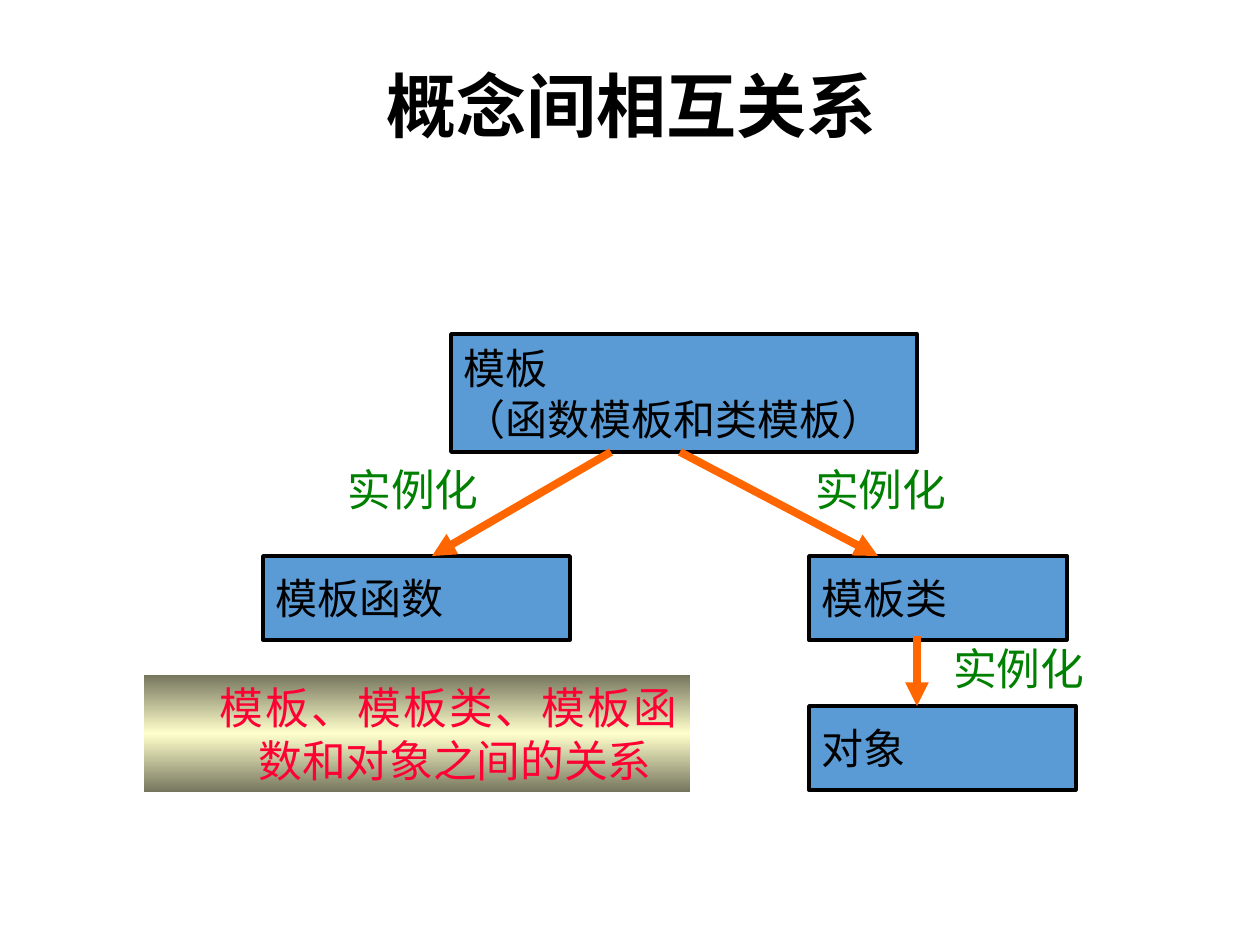
import copy

import pptx
import pptx.dml.color
import pptx.enum.shapes
import pptx.enum.text
import pptx.oxml.ns
import pptx.util
from lxml import etree

EMU_PER_PX = 914400 / 126
SANS, SERIF = "Noto Sans CJK SC", "Times New Roman"
ALIGN = pptx.enum.text.PP_ALIGN
ANCHOR = pptx.enum.text.MSO_ANCHOR
RECTANGLE = pptx.enum.shapes.MSO_SHAPE.RECTANGLE

TITLE = {"size": 40, "name": SANS, "bold": True, "color": "000000"}
CONCEPT = {"size": 24, "name": SERIF, "bold": False, "color": "000000"}
RELATION = {"size": 25, "name": SANS, "bold": False, "color": "008000"}
SUMMARY = {**RELATION, "color": "FF0033"}


def px(*lengths):
    return [pptx.util.Emu(round(length * EMU_PER_PX)) for length in lengths]


def rgb(code):
    return pptx.dml.color.RGBColor.from_string(code)


def write(shape, text, style, align, anchor=ANCHOR.TOP, hanging=False):
    frame = shape.text_frame
    frame.word_wrap = True
    frame.vertical_anchor = anchor
    frame.text = text
    for paragraph in frame.paragraphs:
        paragraph.alignment = align
        if hanging:
            margins = paragraph._p.get_or_add_pPr()
            for side, length in zip(("marL", "indent"), px(102, -39)):
                margins.set(side, str(length))
        for run in paragraph.runs:
            for key, value in style.items():
                if key == "color":
                    run.font.color.rgb = rgb(value)
                else:
                    setattr(run.font, key, pptx.util.Pt(value) if key == "size" else value)
            east_asian = etree.SubElement(run._r.get_or_add_rPr(), pptx.oxml.ns.qn("a:ea"))
            east_asian.set("typeface", SANS)


def add_title(slide, text, bounds):
    title = slide.shapes.title
    for key, value in zip(("left", "top", "width", "height"), px(*bounds)):
        setattr(title, key, value)
    write(title, text, TITLE, ALIGN.CENTER, ANCHOR.MIDDLE)


def add_concept(slide, text, bounds):
    concept = slide.shapes.add_shape(RECTANGLE, *px(*bounds))
    concept.shadow.inherit = False
    concept.fill.solid()
    concept.fill.fore_color.rgb = rgb("5B9BD5")
    concept.line.color.rgb = rgb("000000")
    concept.line.width = pptx.util.Pt(2)
    write(concept, text, CONCEPT, ALIGN.LEFT, ANCHOR.MIDDLE)


def add_relation(slide, left, top):
    relation = slide.shapes.add_textbox(*px(left, top, 228, 66))
    write(relation, "实例化", RELATION, ALIGN.JUSTIFY, hanging=True)


def add_arrow(slide, start, end):
    arrow = slide.shapes.add_connector(
        pptx.enum.shapes.MSO_CONNECTOR.STRAIGHT, *px(*start, *end))
    arrow.line.color.rgb = rgb("FF6600")
    arrow.line.width = pptx.util.Pt(4.5)
    qn = pptx.oxml.ns.qn
    etree.SubElement(arrow.line._get_or_add_ln(), qn("a:tailEnd")).set("type", "triangle")
    etree.SubElement(arrow._element.spPr, qn("a:effectLst"))


def add_summary(slide, text, bounds):
    summary = slide.shapes.add_shape(RECTANGLE, *px(*bounds))
    summary.shadow.inherit = False
    summary.line.fill.background()
    summary.fill.gradient()
    summary.fill.gradient_angle = 90
    stops = summary._element.spPr.find(".//" + pptx.oxml.ns.qn("a:gsLst"))
    stops.insert(1, copy.deepcopy(stops[0]))
    bands = ((0, "76765E"), (0.5, "FFFFCC"), (1, "76765E"))
    for stop, (position, code) in zip(summary.fill.gradient_stops, bands):
        stop.position = position
        stop.color.rgb = rgb(code)
    write(summary, text, SUMMARY, ALIGN.JUSTIFY, hanging=True)


def main():
    deck = pptx.Presentation()
    deck.slide_width, deck.slide_height = px(1260, 945)
    slide = deck.slides.add_slide(deck.slide_layouts[5])

    add_title(slide, "概念间相互关系", (272, 55, 719, 100))
    for text, bounds in (
        ("模板函数", (263, 556, 307, 84)),
        ("模板类", (809, 556, 258, 84)),
        ("对象", (809, 706, 267, 84)),
        ("模板\n（函数模板和类模板）", (451, 334, 466, 118)),
    ):
        add_concept(slide, text, bounds)
    for left, top in ((272, 457), (740, 457), (878, 636)):
        add_relation(slide, left, top)
    add_summary(slide, "模板、模板类、模板函数和对象之间的关系", (144, 675, 546, 117))
    for start, end in (
        ((611, 452), (432, 556)),
        ((680, 452), (878, 556)),
        ((917, 636), (917, 706)),
    ):
        add_arrow(slide, start, end)

    deck.save("out.pptx")


if __name__ == "__main__":
    main()
